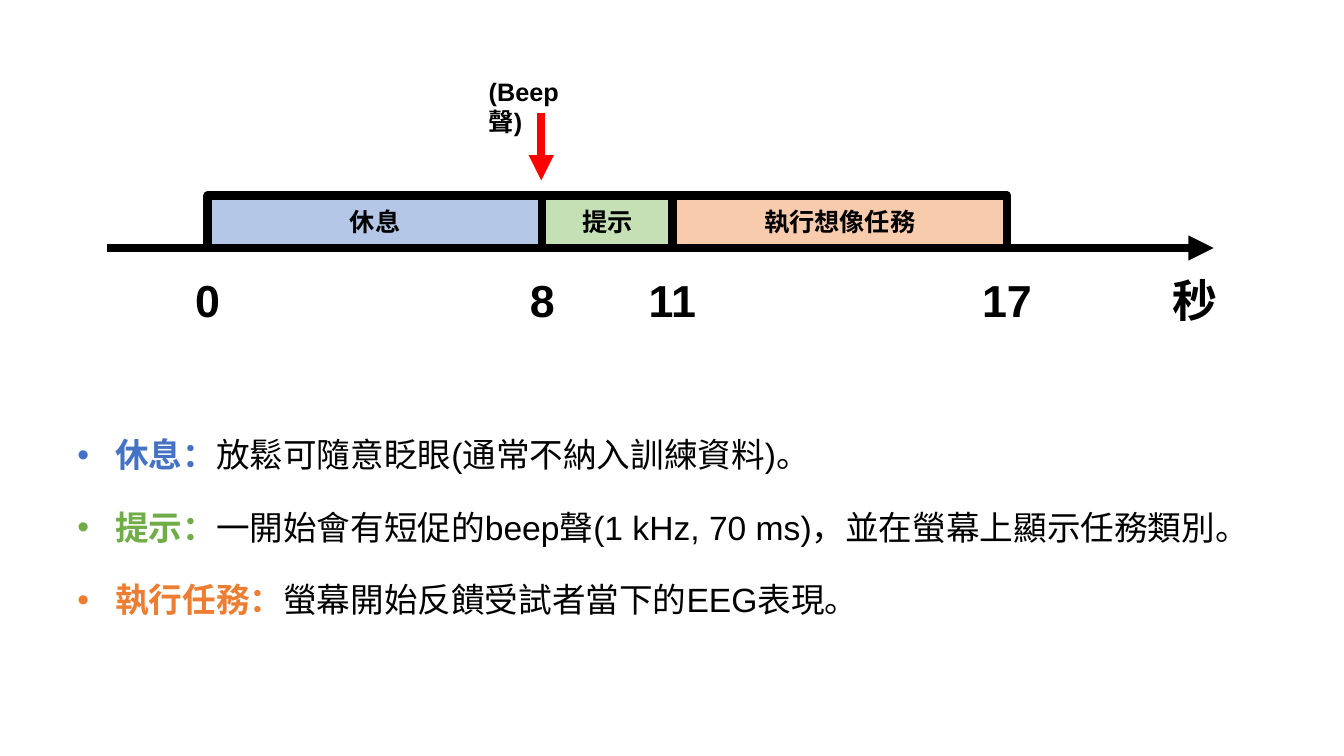
from dataclasses import dataclass
from itertools import accumulate

from lxml import etree
from pptx import Presentation
from pptx import util as u
from pptx.dml.color import RGBColor
from pptx.enum import shapes, text
from pptx.oxml import ns


@dataclass(frozen=True)
class Theme:
    latin: str = "Arial"
    asian: str = "Noto Sans CJK SC"
    ink: str = "000000"
    signal: str = "FF0000"
    rest: str = "4472C4"
    rest_fill: str = "B4C7E7"
    cue: str = "70AD47"
    cue_fill: str = "C5E0B4"
    task: str = "ED7D31"
    task_fill: str = "F8CBAD"
    label_size: int = 18
    body_size: int = 24
    tick_size: int = 32
    stroke: int = 6
    item_gap: int = 23


THEME = Theme()
COLUMNS, ROWS = 133.33, 75
WIDTH, HEIGHT = u.Inches(13.33), u.Inches(7.5)


def across(columns):
    return round(WIDTH * columns / COLUMNS)


def down(rows):
    return round(HEIGHT * rows / ROWS)


def place(left, top, width, height):
    return across(left), down(top), across(width), down(height)


def add_run(paragraph, words, size, color=THEME.ink, bold=True):
    run = paragraph.add_run()
    run.text = words
    font = run.font
    font.name, font.size, font.bold = THEME.latin, u.Pt(size), bold
    font.color.rgb = RGBColor.from_string(color)
    asian = etree.SubElement(font._element, ns.qn("a:ea"))
    asian.set("typeface", THEME.asian)


def add_label(slide, box, words, size, align, wrap=False):
    frame = slide.shapes.add_textbox(*place(*box)).text_frame
    frame.word_wrap = wrap
    paragraph = frame.paragraphs[0]
    paragraph.alignment = align
    add_run(paragraph, words, size)


def add_arrow(slide, start, end, color):
    arrow = slide.shapes.add_connector(
        shapes.MSO_CONNECTOR.STRAIGHT,
        across(start[0]), down(start[1]), across(end[0]), down(end[1]))
    arrow.line.width = u.Pt(THEME.stroke)
    arrow.line.color.rgb = RGBColor.from_string(color)
    head = etree.SubElement(arrow.line._get_or_add_ln(), ns.qn("a:tailEnd"))
    head.set("type", "triangle")
    etree.SubElement(arrow._element.spPr, ns.qn("a:effectLst"))


def add_phase(slide, box, words, fill):
    shape = slide.shapes.add_shape(shapes.MSO_SHAPE.RECTANGLE, *place(*box))
    shape.shadow.inherit = False
    shape.fill.solid()
    shape.fill.fore_color.rgb = RGBColor.from_string(fill)
    shape.line.color.rgb = RGBColor.from_string(THEME.ink)
    shape.line.width = u.Pt(THEME.stroke)
    frame = shape.text_frame
    frame.vertical_anchor = text.MSO_ANCHOR.MIDDLE
    paragraph = frame.paragraphs[0]
    paragraph.alignment = text.PP_ALIGN.CENTER
    add_run(paragraph, words, THEME.label_size)


def add_timeline(slide, box, phases, times, unit, beep):
    left, top, width, height = box
    bar_height, axis = 5.2, top + 17.5
    ticks = list(accumulate((phase[1] for phase in phases), initial=left + 10))

    # Phases and time axis
    for start, (words, span, fill) in zip(ticks, phases):
        add_phase(slide, (start, axis - bar_height, span, bar_height), words, fill)
    add_arrow(slide, (left, axis), (left + width, axis), THEME.ink)

    # Times below the phase edges, and the unit at the arrowhead
    label_width, label_height = 7, 6.4
    unit_center = left + width - 1.9
    for center, words in zip(ticks + [unit_center], times + [unit]):
        add_label(slide,
                  (center - label_width / 2, top + height - label_height,
                   label_width, label_height),
                  words, THEME.tick_size, text.PP_ALIGN.CENTER)

    # Beep that opens the second phase
    add_label(slide, (ticks[1] - 6.3, top, 11, 7), beep,
              THEME.label_size, text.PP_ALIGN.LEFT, wrap=True)
    add_arrow(slide, (ticks[1] - 0.1, top + 4.1), (ticks[1] - 0.1, top + 10.8),
              THEME.signal)


def add_explanations(slide, box, items):
    frame = slide.shapes.add_textbox(*place(*box)).text_frame
    frame.word_wrap = False
    indent = across(3.75)
    for index, (term, meaning, color) in enumerate(items):
        paragraph = frame.add_paragraph() if index else frame.paragraphs[0]
        if index < len(items) - 1:
            paragraph.space_after = u.Pt(THEME.item_gap)
        # Hanging bullet in the colour of the term
        properties = paragraph._p.get_or_add_pPr()
        properties.set("marL", str(indent))
        properties.set("indent", str(-indent))
        etree.SubElement(properties, ns.qn("a:buFont")).set("typeface", THEME.latin)
        etree.SubElement(properties, ns.qn("a:buChar")).set("char", "•")
        add_run(paragraph, term, THEME.body_size, color)
        add_run(paragraph, meaning, THEME.body_size, bold=False)


def build_trial_slide(presentation):
    slide = presentation.slides.add_slide(presentation.slide_layouts[6])
    add_timeline(
        slide, (10.6, 7.1, 109.8, 25.9),
        phases=[("休息", 33.2, THEME.rest_fill),
                ("提示", 12.9, THEME.cue_fill),
                ("執行想像任務", 33.2, THEME.task_fill)],
        times=["0", "8", "11", "17"], unit="秒", beep="(Beep聲)")
    add_explanations(
        slide, (6.7, 42.6, 119.9, 21.2),
        [("休息：", "放鬆可隨意眨眼(通常不納入訓練資料)。", THEME.rest),
         ("提示：", "一開始會有短促的beep聲(1 kHz, 70 ms)，並在螢幕上顯示任務類別。",
          THEME.cue),
         ("執行任務：", "螢幕開始反饋受試者當下的EEG表現。", THEME.task)])


presentation = Presentation()
presentation.slide_width, presentation.slide_height = WIDTH, HEIGHT
build_trial_slide(presentation)
presentation.save("out.pptx")
